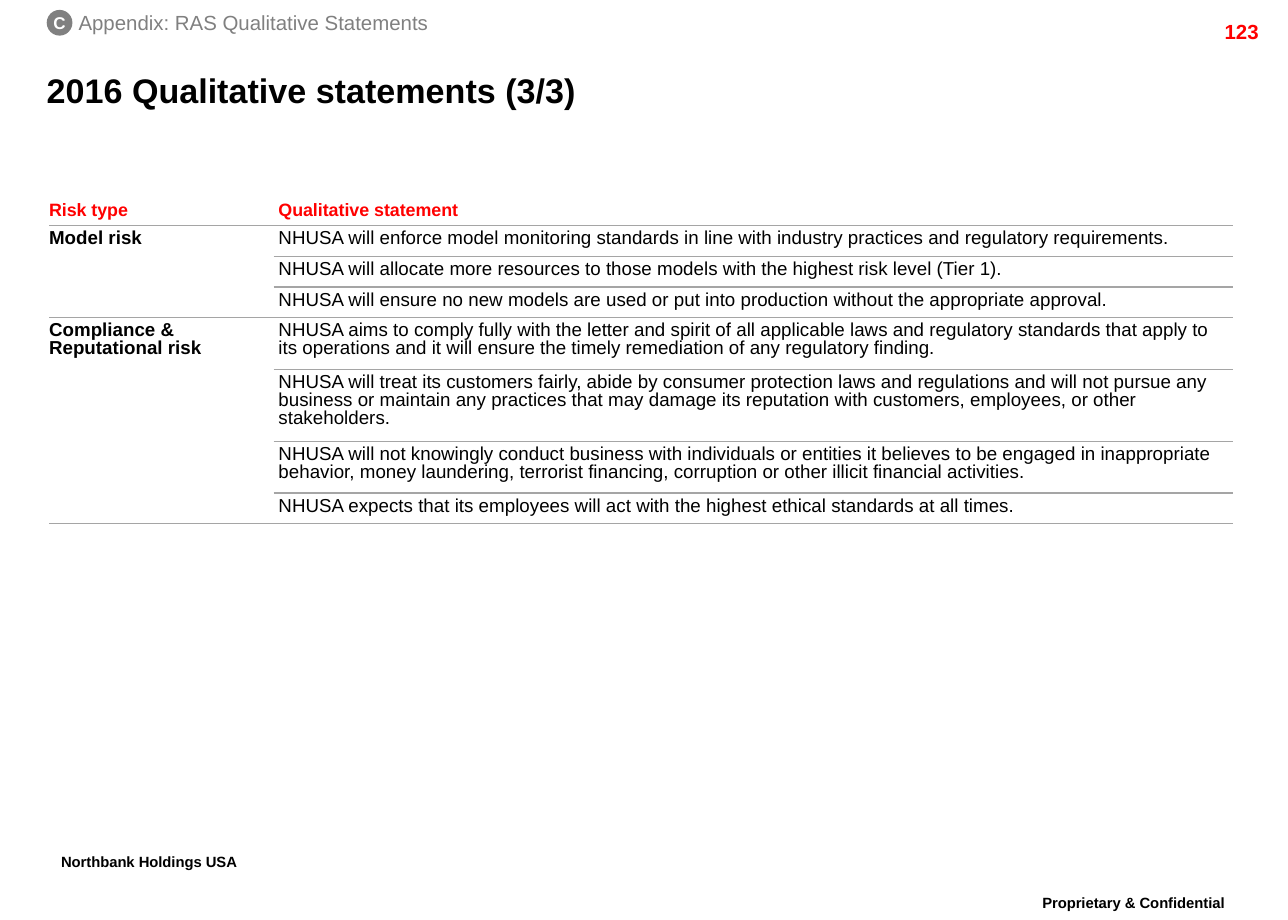
from dataclasses import dataclass

from lxml.etree import SubElement
from pptx import Presentation
from pptx.dml.color import RGBColor
from pptx.enum.shapes import MSO_SHAPE
from pptx.enum.text import MSO_ANCHOR, PP_ALIGN
from pptx.oxml.ns import qn
from pptx.slide import Slide
from pptx.table import _Cell
from pptx.text.text import TextFrame
from pptx.util import Pt

BLACK, RED, GREY, WHITE, RULE = "000000", "FF0000", "808080", "FFFFFF", "A5A5A5"
LINE_SPACING = 0.86


@dataclass
class Label:
    text: str
    left: float
    top: float
    width: float
    height: float
    size: float
    color: str = BLACK
    bold: bool = True
    align: PP_ALIGN = PP_ALIGN.LEFT
    margins: tuple[float, float] = (7.2, 3.6)
    wrap: bool = True
    raised: bool = False


@dataclass
class Risk:
    name: str
    statements: list[str]


LABELS = [
    Label("Proprietary & Confidential", 586.8, 522, 157, 25.2, 15,
          align=PP_ALIGN.CENTER, raised=True),
    Label("Northbank Holdings USA", 18.7, 497.5, 137.5, 25.2, 15,
          align=PP_ALIGN.CENTER, wrap=False, raised=True),
    Label("123", 673.9, 7.9, 72, 17.3, 12, RED, align=PP_ALIGN.RIGHT),
    Label("Appendix: RAS Qualitative Statements", 46.1, 5.8, 207.4, 14.4, 12,
          GREY, bold=False, margins=(0, 0), wrap=False),
]

RISKS = [
    Risk("Model risk", [
        "NHUSA will enforce model monitoring standards in line with industry "
        "practices and regulatory requirements.",
        "NHUSA will allocate more resources to those models with the highest "
        "risk level (Tier 1).",
        "NHUSA will ensure no new models are used or put into production "
        "without the appropriate approval.",
    ]),
    Risk("Compliance & Reputational risk", [
        "NHUSA aims to comply fully with the letter and spirit of all applicable "
        "laws and regulatory standards that apply to its operations and it will "
        "ensure the timely remediation of any regulatory finding.",
        "NHUSA will treat its customers fairly, abide by consumer protection laws "
        "and regulations and will not pursue any business or maintain any "
        "practices that may damage its reputation with customers, employees, or "
        "other stakeholders.",
        "NHUSA will not knowingly conduct business with individuals or entities "
        "it believes to be engaged in inappropriate behavior, money laundering, "
        "terrorist financing, corruption or other illicit financial activities.",
        "NHUSA expects that its employees will act with the highest ethical "
        "standards at all times.",
    ]),
]
COLUMN_WIDTHS = [131.8, 563]
ROW_HEIGHTS = [17.3, 18, 18, 18, 30.3, 42.4, 30.3, 18]


def rgb(color: str) -> RGBColor:
    return RGBColor.from_string(color)


def write(tf: TextFrame, text: str, size: float, color: str, bold: bool,
          align: PP_ALIGN = PP_ALIGN.LEFT) -> None:
    p = tf.paragraphs[0]
    p.add_run().text = text
    p.alignment = align
    p.font.name = "Arial"
    p.font.size = Pt(size)
    p.font.bold = bold
    p.font.color.rgb = rgb(color)


def set_margins(tf: TextFrame, x: float, y: float) -> None:
    tf.margin_left = tf.margin_right = Pt(x)
    tf.margin_top = tf.margin_bottom = Pt(y)


def add_label(slide: Slide, label: Label) -> None:
    sp = slide.shapes.add_textbox(Pt(label.left), Pt(label.top),
                                  Pt(label.width), Pt(label.height))
    tf = sp.text_frame
    tf.word_wrap = label.wrap
    set_margins(tf, *label.margins)
    write(tf, label.text, label.size, label.color, label.bold, label.align)
    if label.raised:
        p = tf.paragraphs[0]
        p.line_spacing = LINE_SPACING
        p.runs[0].font._element.set("baseline", "30000")


def add_title(slide: Slide, text: str) -> None:
    sp = slide.shapes.title
    sp.left, sp.top, sp.width, sp.height = Pt(27.4), Pt(35.3), Pt(682.6), Pt(34.6)
    tf = sp.text_frame
    set_margins(tf, 0, 0)
    tf.vertical_anchor = MSO_ANCHOR.MIDDLE
    write(tf, text, 20, BLACK, True)


def add_badge(slide: Slide, letter: str) -> None:
    sp = slide.shapes.add_shape(MSO_SHAPE.OVAL, Pt(27.4), Pt(5.8), Pt(15.1), Pt(15.1))
    sp.shadow.inherit = False
    sp.fill.solid()
    sp.fill.fore_color.rgb = rgb(GREY)
    sp.line.fill.background()
    tf = sp.text_frame
    tf.word_wrap = False
    tf.vertical_anchor = MSO_ANCHOR.MIDDLE
    write(tf, letter, 10, WHITE, True, PP_ALIGN.CENTER)


def set_borders(cell: _Cell, ruled: str) -> None:
    """Rule the sides named in ruled (T, B) and clear the others."""
    tcPr = cell._tc.get_or_add_tcPr()
    for index, side in enumerate("LRTB"):
        ln = tcPr.makeelement(qn(f"a:ln{side}"), {"w": str(Pt(1))})
        tcPr.insert(index, ln)
        if side in ruled:
            fill = SubElement(ln, qn("a:solidFill"))
            SubElement(fill, qn("a:srgbClr"), val=RULE)
        else:
            SubElement(ln, qn("a:noFill"))


def fill_cell(cell: _Cell, text: str, size: float, color: str, bold: bool,
              left: float) -> None:
    cell.margin_left = Pt(left)
    cell.margin_right = cell.margin_top = cell.margin_bottom = Pt(2.88)
    write(cell.text_frame, text, size, color, bold)
    p = cell.text_frame.paragraphs[0]
    p.line_spacing = LINE_SPACING
    p.space_after = Pt(2)


def add_risk_table(slide: Slide) -> None:
    table = slide.shapes.add_table(len(ROW_HEIGHTS), len(COLUMN_WIDTHS), Pt(28.8),
                                   Pt(115.2), Pt(sum(COLUMN_WIDTHS)),
                                   Pt(sum(ROW_HEIGHTS))).table
    for column, width in zip(table.columns, COLUMN_WIDTHS):
        column.width = Pt(width)
    for row, height in zip(table.rows, ROW_HEIGHTS):
        row.height = Pt(height)
    for index, row in enumerate(table.rows):
        for cell in row.cells:
            cell.fill.background()
            set_borders(cell, "TB" if index else "B")

    for col, (heading, left) in enumerate([("Risk type", 0),
                                           ("Qualitative statement", 2.88)]):
        cell = table.cell(0, col)
        fill_cell(cell, heading, 10.5, RED, True, left)
        cell.vertical_anchor = MSO_ANCHOR.MIDDLE

    top = 1
    for risk in RISKS:
        bottom = top + len(risk.statements) - 1
        table.cell(top, 0).merge(table.cell(bottom, 0))
        fill_cell(table.cell(top, 0), risk.name, 11, BLACK, True, 0)
        for row, statement in enumerate(risk.statements, top):
            fill_cell(table.cell(row, 1), statement, 11, BLACK, False, 2.88)
        top = bottom + 1


def main() -> None:
    prs = Presentation()
    prs.slide_width, prs.slide_height = Pt(756), Pt(540)
    slide = prs.slides.add_slide(prs.slide_layouts[5])
    add_title(slide, "2016 Qualitative statements (3/3)")
    for label in LABELS:
        add_label(slide, label)
    add_risk_table(slide)
    add_badge(slide, "C")
    prs.save("out.pptx")


if __name__ == "__main__":
    main()
